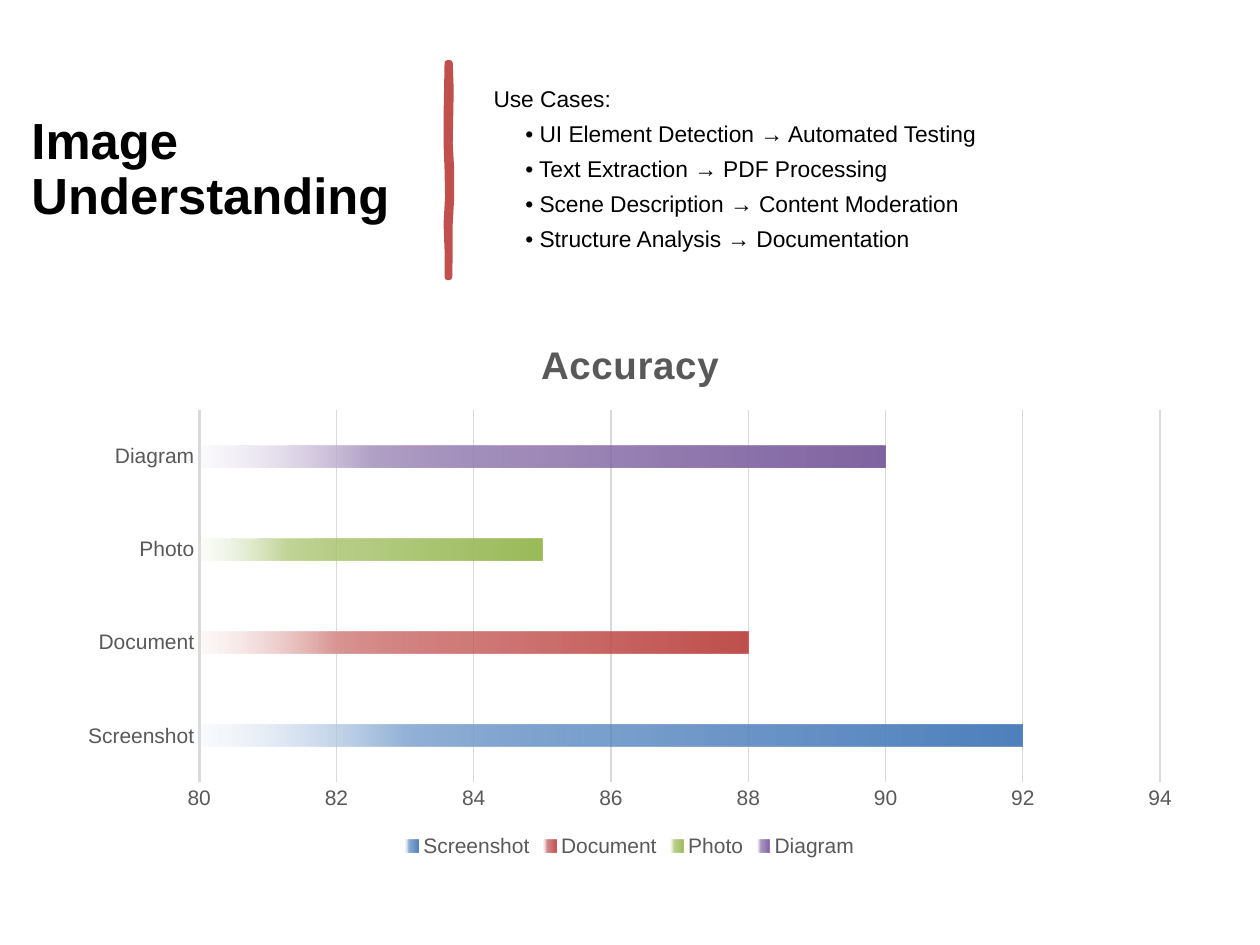
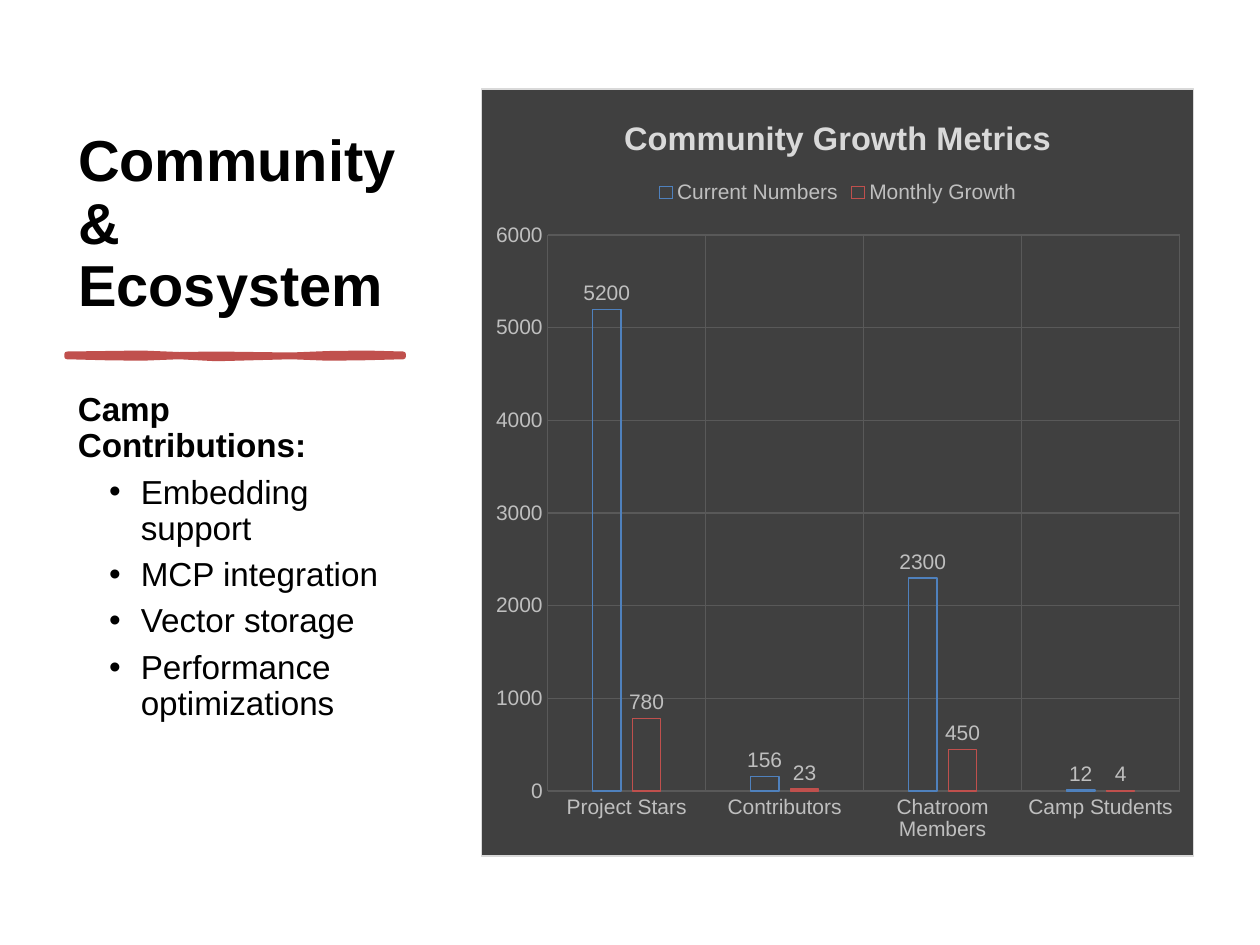
import pptx
import pptx.chart.data
import pptx.dml.color
import pptx.enum.chart
import pptx.enum.text
import pptx.oxml
import pptx.oxml.ns
import pptx.util
from pptx.util import Cm, Pt

FONT = "Arial"
COLORS = {
    "text": "000000",
    "accent": "C0504D",
    "blue": "4F81BD",
    "axis_text": "595959",
    "grid": "D9D9D9",
    "panel": "404040",
    "panel_grid": "595959",
    "panel_text": "BFBFBF",
    "panel_title": "D9D9D9",
}
# Full, light and pale tone of each bar
BAR_TONES = [
    ("4F81BD", "95B3D7", "DCE6F2"),
    ("C0504D", "D99694", "F2DCDB"),
    ("9BBB59", "C3D69B", "EBF1DE"),
    ("8064A2", "B3A2C7", "E6E0EC"),
]
TITLE_ONLY = 5


def color(name):
    return pptx.dml.color.RGBColor.from_string(COLORS[name])


def drawing_xml(xml):
    return pptx.oxml.parse_xml(xml.replace(">", f" {pptx.oxml.ns.nsdecls('a', 'c')}>", 1))


def gradient_xml(tones):
    full, light, pale = tones
    stops = [(0, full, 100), (51, full, 75), (75, light, 100), (100, pale, 15)]
    stop_xml = "".join(
        f'<a:gs pos="{position * 1000}"><a:srgbClr val="{tone}">'
        f'<a:alpha val="{opacity * 1000}"/></a:srgbClr></a:gs>'
        for position, tone, opacity in stops
    )
    return drawing_xml(
        f'<a:gradFill><a:gsLst>{stop_xml}</a:gsLst><a:lin ang="10800000" scaled="0"/></a:gradFill>'
    )


class Deck:
    def __init__(self):
        self.presentation = pptx.Presentation()
        self.presentation.slide_width = Cm(25.4)
        self.presentation.slide_height = Cm(19.05)
        self.slide = None

    def add_slide(self):
        layout = self.presentation.slide_layouts[TITLE_ONLY]
        self.slide = self.presentation.slides.add_slide(layout)

    def style_font(self, font, size, color_name="text", bold=False):
        font.name = FONT
        font.size = Pt(size)
        font.bold = bold
        font.color.rgb = color(color_name)

    def style_frame(self, text_frame, anchor):
        text_frame.word_wrap = True
        text_frame.auto_size = pptx.enum.text.MSO_AUTO_SIZE.NONE
        text_frame.vertical_anchor = anchor

    def style_paragraph(self, paragraph, size, bold=False):
        paragraph.alignment = pptx.enum.text.PP_ALIGN.LEFT
        paragraph.line_spacing = 0.9
        for run in paragraph.runs:
            self.style_font(run.font, size, bold=bold)

    def title(self, text, box, size, anchor):
        shape = self.slide.shapes.title
        shape.left, shape.top, shape.width, shape.height = map(Cm, box)
        shape.text_frame.text = text
        self.style_frame(shape.text_frame, anchor)
        paragraph = shape.text_frame.paragraphs[0]
        paragraph.space_before = Pt(0)
        paragraph.space_after = Pt(6)
        self.style_paragraph(paragraph, size, bold=True)

    def headed_list(self, heading, items, box, size, anchor, bold_heading=False, bullets=False):
        text_frame = self.slide.shapes.add_textbox(*map(Cm, box)).text_frame
        self.style_frame(text_frame, anchor)
        text_frame.text = heading
        self.style_paragraph(text_frame.paragraphs[0], size, bold_heading)
        for item in items:
            paragraph = text_frame.add_paragraph()
            paragraph.text = item
            paragraph.level = 1
            properties = paragraph._p.get_or_add_pPr()
            properties.set("marL", str(Cm(1.27 if bullets else 0.64)))
            properties.set("indent", str(Cm(-0.64 if bullets else 0)))
            if bullets:
                properties.append(drawing_xml(
                    f'<a:buClr><a:srgbClr val="{COLORS["text"]}"/></a:buClr>'))
                properties.append(drawing_xml(f'<a:buFont typeface="{FONT}"></a:buFont>'))
                properties.append(drawing_xml('<a:buChar char="•"></a:buChar>'))
            paragraph.space_before = Pt(6)
            self.style_paragraph(paragraph, size)
        text_frame.paragraphs[-1].space_after = Pt(6)

    def brush_stroke(self, start, across, length, edges, width, vertical=False):
        """Draw an uneven stroke; edges holds the two sides as offsets at equal steps."""
        near, far = (
            [(start + length * step / (len(edge) - 1), across + offset)
             for step, offset in enumerate(edge)]
            for edge in edges
        )
        outline = near + far[::-1]
        if vertical:
            outline = [(y, x) for x, y in outline]
        points = [(Cm(x), Cm(y)) for x, y in outline]
        builder = self.slide.shapes.build_freeform(*points[0], scale=1.0)
        builder.add_line_segments(points[1:], close=True)
        shape = builder.convert_to_shape()
        shape.shadow.inherit = False
        shape.fill.solid()
        shape.fill.fore_color.rgb = color("accent")
        self.style_line(shape.line, "accent", width)

    def style_line(self, line, color_name, width=0.75):
        line.color.rgb = color(color_name)
        line.width = Pt(width)

    def chart(self, kind, box, title, title_size, categories, series, legend_position,
              text_color, title_color, grid_color, gap, overlap, scale):
        data = pptx.chart.data.CategoryChartData()
        data.categories = categories
        for name, values in series.items():
            data.add_series(name, values)
        chart = self.slide.shapes.add_chart(kind, *map(Cm, box), data).chart
        self.style_font(chart.font, 10)

        chart.has_title = True
        chart.chart_title.text_frame.text = title
        title_run = chart.chart_title.text_frame.paragraphs[0].runs[0]
        self.style_font(title_run.font, title_size, title_color, bold=True)

        chart.has_legend = True
        chart.legend.position = legend_position
        chart.legend.include_in_layout = False
        self.style_font(chart.legend.font, 12, text_color)

        for axis in (chart.category_axis, chart.value_axis):
            axis.major_tick_mark = pptx.enum.chart.XL_TICK_MARK.NONE
            axis.minor_tick_mark = pptx.enum.chart.XL_TICK_MARK.NONE
            axis.format.line.fill.background()
            self.style_font(axis.tick_labels.font, 12, text_color)
        value_axis = chart.value_axis
        value_axis.minimum_scale, value_axis.maximum_scale, value_axis.major_unit = scale
        value_axis.has_major_gridlines = True
        self.style_line(value_axis.major_gridlines.format.line, grid_color)

        plot = chart.plots[0]
        plot.gap_width = gap
        plot.overlap = overlap
        plot.vary_by_categories = False
        return chart

    def fade_bars(self, chart, tones_by_bar):
        chart.plots[0].vary_by_categories = True
        series = chart.plots[0].series[0]
        series.invert_if_negative = False
        for index in range(len(tones_by_bar)):
            series.points[index].format.fill.solid()
        bars = chart._chartSpace.iter(pptx.oxml.ns.qn("c:dPt"))
        for bar, tones in zip(bars, tones_by_bar):
            solid = next(bar.iter(pptx.oxml.ns.qn("a:solidFill")))
            solid.getparent().replace(solid, gradient_xml(tones))

    def outline_columns(self, chart, color_names):
        for series, color_name in zip(chart.plots[0].series, color_names):
            series.invert_if_negative = False
            series.format.fill.background()
            self.style_line(series.format.line, color_name)
            labels = series.data_labels
            labels.show_value = True
            labels.position = pptx.enum.chart.XL_LABEL_POSITION.OUTSIDE_END
            self.style_font(labels.font, 12, "panel_text")

    def fill_chart_area(self, chart, fill_name, border_name):
        area = drawing_xml(
            f'<c:spPr><a:solidFill><a:srgbClr val="{COLORS[fill_name]}"/></a:solidFill>'
            f'<a:ln w="{Pt(0.75)}"><a:solidFill><a:srgbClr val="{COLORS[border_name]}"/>'
            "</a:solidFill></a:ln></c:spPr>"
        )
        chart._chartSpace.find(pptx.oxml.ns.qn("c:txPr")).addprevious(area)


def image_understanding(deck):
    middle = pptx.enum.text.MSO_ANCHOR.MIDDLE
    deck.add_slide()
    deck.title("Image Understanding", (0.38, 1.4, 8.05, 4.06), 29, middle)
    deck.brush_stroke(
        1.27, 9, 4.32,
        ([0.02, 0.01, 0, 0, 0.02, 0.03, 0, 0.02, 0.02],
         [0.07, 0.09, 0.08, 0.07, 0.1, 0.1, 0.07, 0.07, 0.06]),
        3.25, vertical=True)
    deck.headed_list(
        "Use Cases:",
        ["• UI Element Detection → Automated Testing",
         "• Text Extraction → PDF Processing",
         "• Scene Description → Content Moderation",
         "• Structure Analysis → Documentation"],
        (9.7, 1.4, 14.38, 4.06), 13, middle)
    chart = deck.chart(
        pptx.enum.chart.XL_CHART_TYPE.BAR_CLUSTERED, (1.32, 6.38, 22.76, 11),
        "Accuracy", 22, ["Screenshot", "Document", "Photo", "Diagram"],
        {"Accuracy": [92, 88, 85, 90]}, pptx.enum.chart.XL_LEGEND_POSITION.BOTTOM,
        text_color="axis_text", title_color="axis_text", grid_color="grid",
        gap=326, overlap=-58, scale=(80, 94, 2))
    title_run = chart.chart_title.text_frame.paragraphs[0].runs[0]
    title_run._r.get_or_add_rPr().set("spc", "50")
    deck.style_line(chart.category_axis.format.line, "grid", 1.5)
    deck.fade_bars(chart, BAR_TONES)


def community_and_ecosystem(deck):
    deck.add_slide()
    deck.title("Community & Ecosystem", (1.32, 1.78, 7.14, 4.78), 33,
               pptx.enum.text.MSO_ANCHOR.BOTTOM)
    deck.brush_stroke(
        1.35, 7.12, 6.78,
        ([0.02, 0.01, 0, 0.03, 0.02, 0.03, 0.04, 0.01, 0, 0.02],
         [0.07, 0.09, 0.1, 0.07, 0.11, 0.09, 0.07, 0.1, 0.09, 0.07]),
        3)
    deck.headed_list(
        "Camp Contributions:",
        ["Embedding support", "MCP integration", "Vector storage",
         "Performance optimizations"],
        (1.32, 7.8, 7.14, 9.47), 19, pptx.enum.text.MSO_ANCHOR.TOP,
        bold_heading=True, bullets=True)
    chart = deck.chart(
        pptx.enum.chart.XL_CHART_TYPE.COLUMN_CLUSTERED, (9.7, 1.78, 14.38, 15.49),
        "Community Growth Metrics", 18.6,
        ["Project Stars", "Contributors", "Chatroom Members", "Camp Students"],
        {"Current Numbers": [5200, 156, 2300, 12], "Monthly Growth": [780, 23, 450, 4]},
        pptx.enum.chart.XL_LEGEND_POSITION.TOP,
        text_color="panel_text", title_color="panel_title", grid_color="panel_grid",
        gap=315, overlap=-40, scale=(0, 6000, 1000))
    chart.category_axis.has_major_gridlines = True
    deck.style_line(chart.category_axis.major_gridlines.format.line, "panel_grid")
    deck.outline_columns(chart, ["blue", "accent"])
    deck.fill_chart_area(chart, "panel", "grid")


def main():
    deck = Deck()
    image_understanding(deck)
    community_and_ecosystem(deck)
    deck.presentation.save("out.pptx")


if __name__ == "__main__":
    main()
